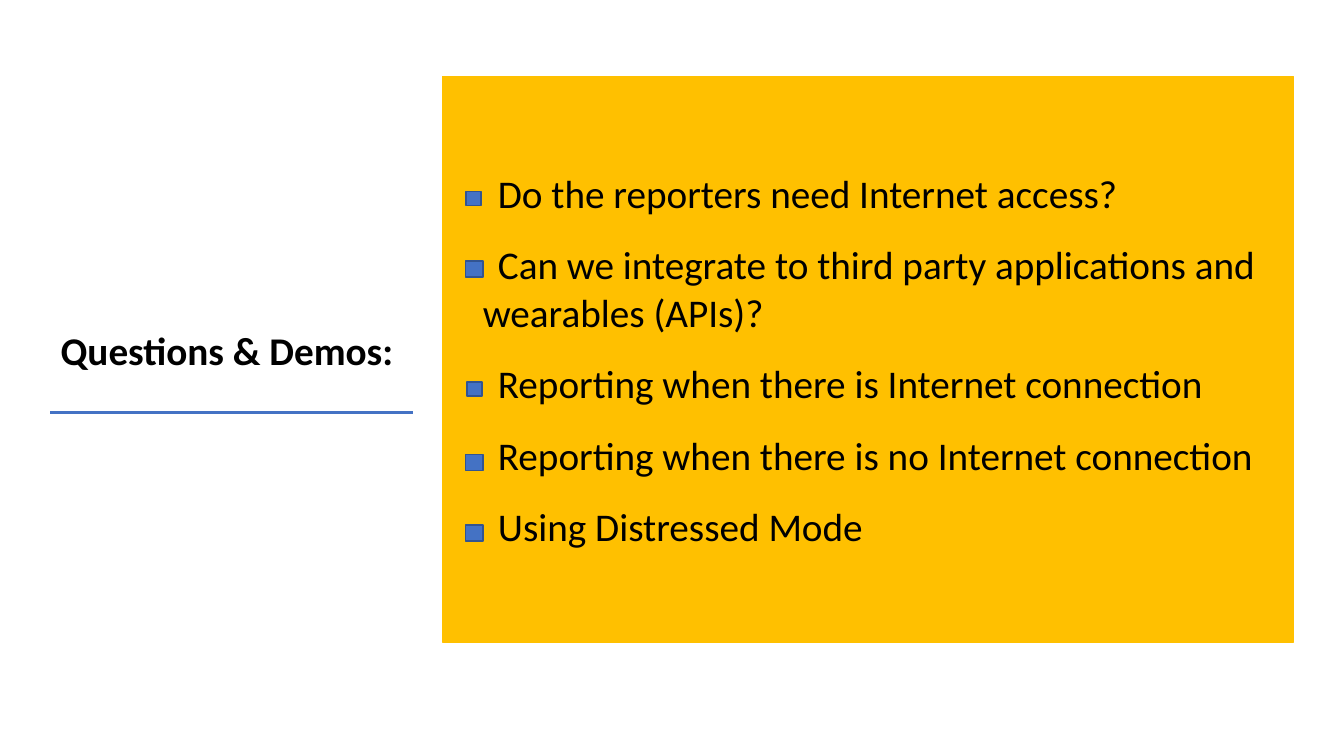
from pptx import Presentation
from pptx.dml.color import RGBColor
from pptx.enum.shapes import MSO_CONNECTOR, MSO_SHAPE
from pptx.enum.text import MSO_ANCHOR, PP_ALIGN
from pptx.oxml.ns import qn
from pptx.util import Inches, Pt
from lxml import etree

TITLE = "Questions & Demos:"
# Question, then left, top, width and height of its square marker
QUESTIONS = [
    ("Do the reporters need Internet access?", (4.62, 1.9, 0.15, 0.14)),
    ("Can we integrate to third party applications and wearables (APIs)?",
     (4.62, 2.59, 0.17, 0.16)),
    ("Reporting when there is Internet connection", (4.63, 3.79, 0.15, 0.14)),
    ("Reporting when there is no Internet connection", (4.62, 4.51, 0.17, 0.16)),
    ("Using Distressed Mode", (4.62, 5.21, 0.17, 0.16)),
]

BLACK = RGBColor(0x00, 0x00, 0x00)
AMBER = RGBColor(0xFF, 0xC0, 0x00)
BLUE = RGBColor(0x44, 0x72, 0xC4)
DARK_BLUE = RGBColor(0x32, 0x54, 0x91)
FONT = {"name": "Calibri", "size": Pt(28)}


def set_font(font, **extra):
    for name, value in {**FONT, **extra}.items():
        setattr(font, name, value)
    font.color.rgb = BLACK


def add_rect(s, box, fill, line):
    sp = s.shapes.add_shape(MSO_SHAPE.RECTANGLE, *map(Inches, box))
    sp.shadow.inherit = False
    sp.fill.solid()
    sp.fill.fore_color.rgb = fill
    sp.line.color.rgb = line
    sp.line.width = Pt(1)


prs = Presentation()
prs.slide_width, prs.slide_height = Inches(13.33), Inches(7.5)
s = prs.slides.add_slide(prs.slide_layouts[5])

# Title and the rule under it
title = s.shapes.title
title.left, title.top, title.width, title.height = map(Inches, (0.4, 3.19, 3.7, 0.57))
title.text_frame.text = TITLE
title.text_frame.vertical_anchor = MSO_ANCHOR.TOP
p = title.text_frame.paragraphs[0]
p.alignment = PP_ALIGN.CENTER
set_font(p.font, bold=True)

rule = s.shapes.add_connector(
    MSO_CONNECTOR.STRAIGHT, *map(Inches, (0.5, 4.09, 4.1, 4.09)))
rule.line.color.rgb = BLUE
rule.line.width = Pt(2.25)
etree.SubElement(rule.element.spPr, qn("a:effectLst"))

# Amber panel with the questions
add_rect(s, (4.39, 0.76, 8.44, 5.61), AMBER, AMBER)
tf = s.shapes.add_textbox(*map(Inches, (4.69, 1.63, 8.09, 3.94))).text_frame
tf.word_wrap = True
for i, (question, marker) in enumerate(QUESTIONS):
    p = tf.add_paragraph() if i else tf.paragraphs[0]
    p.text = question
    p.space_before = Pt(17.5 if i else 0)
    # The first line starts clear of its marker
    p._p.get_or_add_pPr().set("indent", str(Inches(0.15)))
    set_font(p.font)
    add_rect(s, marker, BLUE, DARK_BLUE)

prs.save("out.pptx")
